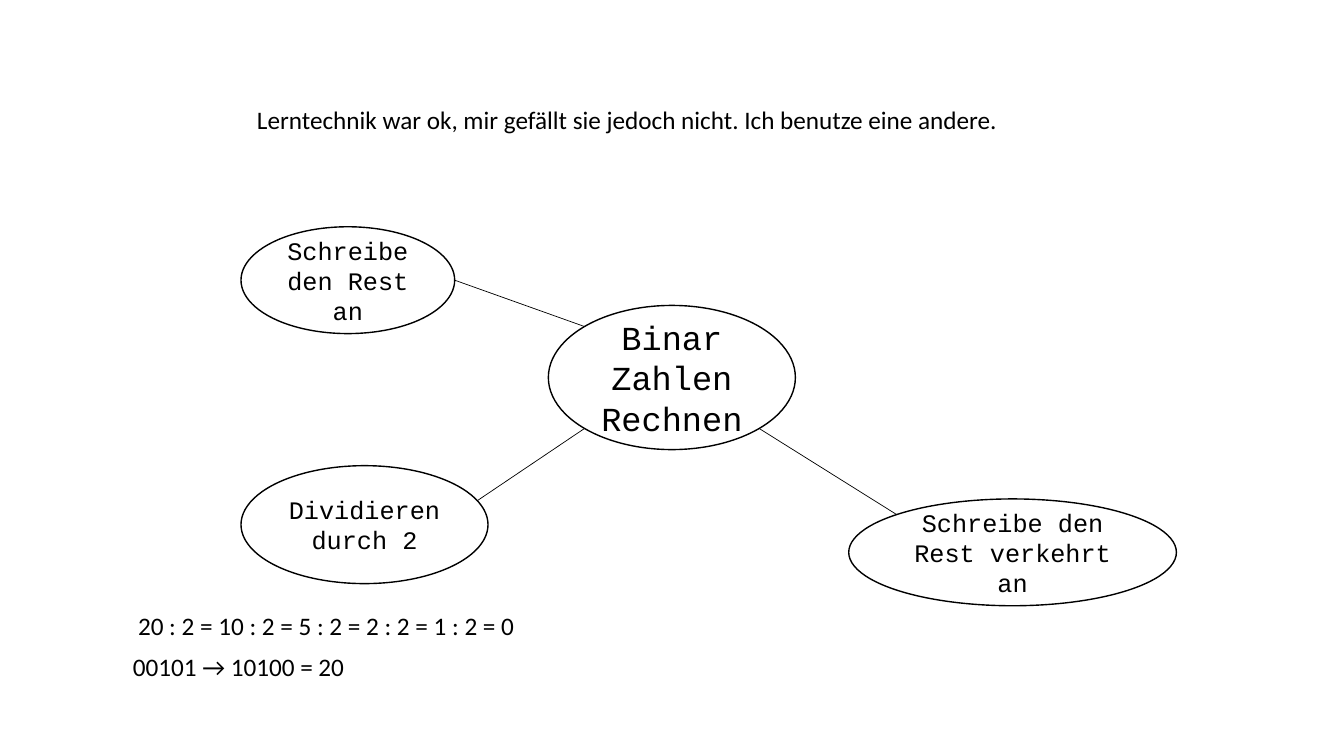
from math import cos, radians, sin

from lxml import etree
from pptx import Presentation
from pptx.dml.color import RGBColor
from pptx.enum.shapes import MSO_CONNECTOR, MSO_SHAPE
from pptx.enum.text import MSO_ANCHOR, MSO_AUTO_SIZE, PP_ALIGN
from pptx.oxml.ns import qn
from pptx.util import Inches, Pt

ELLIPSE = MSO_SHAPE.OVAL
STRAIGHT = MSO_CONNECTOR.STRAIGHT
MIDDLE = MSO_ANCHOR.MIDDLE
CENTER = PP_ALIGN.CENTER
GROW = MSO_AUTO_SIZE.SHAPE_TO_FIT_TEXT
BLANK_LAYOUT = 6
SLIDE_WIDTH = Inches(13.33)
SLIDE_HEIGHT = Inches(7.5)
BLACK = "000000"
WHITE = "FFFFFF"

TOPIC = ["Binar", "Zahlen", "Rechnen"]
TOPIC_AREA = (40.8, 40.4, 18.38, 19.07)
STEPS = [
    ("Dividieren durch 2", (17.93, 61.6, 18.38, 15.6), 135, -24),
    ("Schreibe den Rest an", (17.93, 30, 15.9, 14.13), 225, 0),
    ("Schreibe den Rest verkehrt an", (63.15, 66, 24.38, 14.13), 45, 225),
]
REMARKS = [
    ("Lerntechnik war ok, mir gefällt sie jedoch nicht. Ich benutze eine andere.",
     (18.38, 13.2, 56.78, 5.33)),
    ("20 : 2 = 10 : 2 = 5 : 2 = 2 : 2 = 1 : 2 = 0", (9.53, 80.13, 30, 5.33)),
    ("00101 → 10100 = 20", (9.15, 85.47, 17.55, 5.33)),
]


def color(hex_code):
    """Turn a hex string into a colour."""
    return RGBColor.from_string(hex_code)


def place(area):
    """Convert left, top, width, height in percent of the slide to lengths."""
    left, top, width, height = area
    return (int(SLIDE_WIDTH * left / 100), int(SLIDE_HEIGHT * top / 100),
            int(SLIDE_WIDTH * width / 100), int(SLIDE_HEIGHT * height / 100))


def write(frame, lines, size, font_name, alignment=None):
    """Fill a text frame with one paragraph per line."""
    for index, line in enumerate(lines):
        paragraph = frame.add_paragraph() if index else frame.paragraphs[0]
        paragraph.alignment = alignment
        run = paragraph.add_run()
        run.text = line
        run.font.size = Pt(size)
        run.font.name = font_name
        run.font.color.rgb = color(BLACK)


def add_bubble(slide, lines, area, size):
    """Draw an outlined ellipse of the mind map with centred text."""
    bubble = slide.shapes.add_shape(ELLIPSE, *place(area))
    bubble.shadow.inherit = False
    bubble.fill.solid()
    bubble.fill.fore_color.rgb = color(WHITE)
    bubble.line.color.rgb = color(BLACK)
    bubble.line.width = Pt(1)
    bubble.text_frame.word_wrap = True
    bubble.text_frame.vertical_anchor = MIDDLE
    write(bubble.text_frame, lines, size, "Courier New", CENTER)
    return bubble


def rim_point(bubble, degrees):
    """Find the point on the rim at a clockwise angle from the right."""
    angle = radians(degrees)
    return (int(bubble.left + bubble.width * (1 + cos(angle)) / 2),
            int(bubble.top + bubble.height * (1 + sin(angle)) / 2))


def add_branch(slide, topic, topic_angle, step, step_angle):
    """Draw a thin line from the topic's rim to a step's rim."""
    branch = slide.shapes.add_connector(
        STRAIGHT, *rim_point(topic, topic_angle), *rim_point(step, step_angle))
    branch.line.color.rgb = color(BLACK)
    branch.line.width = Pt(0.5)
    etree.SubElement(branch._element.spPr, qn("a:effectLst"))


def add_remark(slide, text, area):
    """Write a single unwrapped line of text."""
    frame = slide.shapes.add_textbox(*place(area)).text_frame
    frame.word_wrap = False
    frame.auto_size = GROW
    write(frame, [text], 18, "Calibri")


def main():
    """Build the mind map slide and save it."""
    deck = Presentation()
    deck.slide_width = SLIDE_WIDTH
    deck.slide_height = SLIDE_HEIGHT
    slide = deck.slides.add_slide(deck.slide_layouts[BLANK_LAYOUT])
    topic = add_bubble(slide, TOPIC, TOPIC_AREA, 24)
    for text, area, topic_angle, step_angle in STEPS:
        step = add_bubble(slide, [text], area, 18)
        add_branch(slide, topic, topic_angle, step, step_angle)
    for text, area in REMARKS:
        add_remark(slide, text, area)
    deck.save("out.pptx")


if __name__ == "__main__":
    main()
